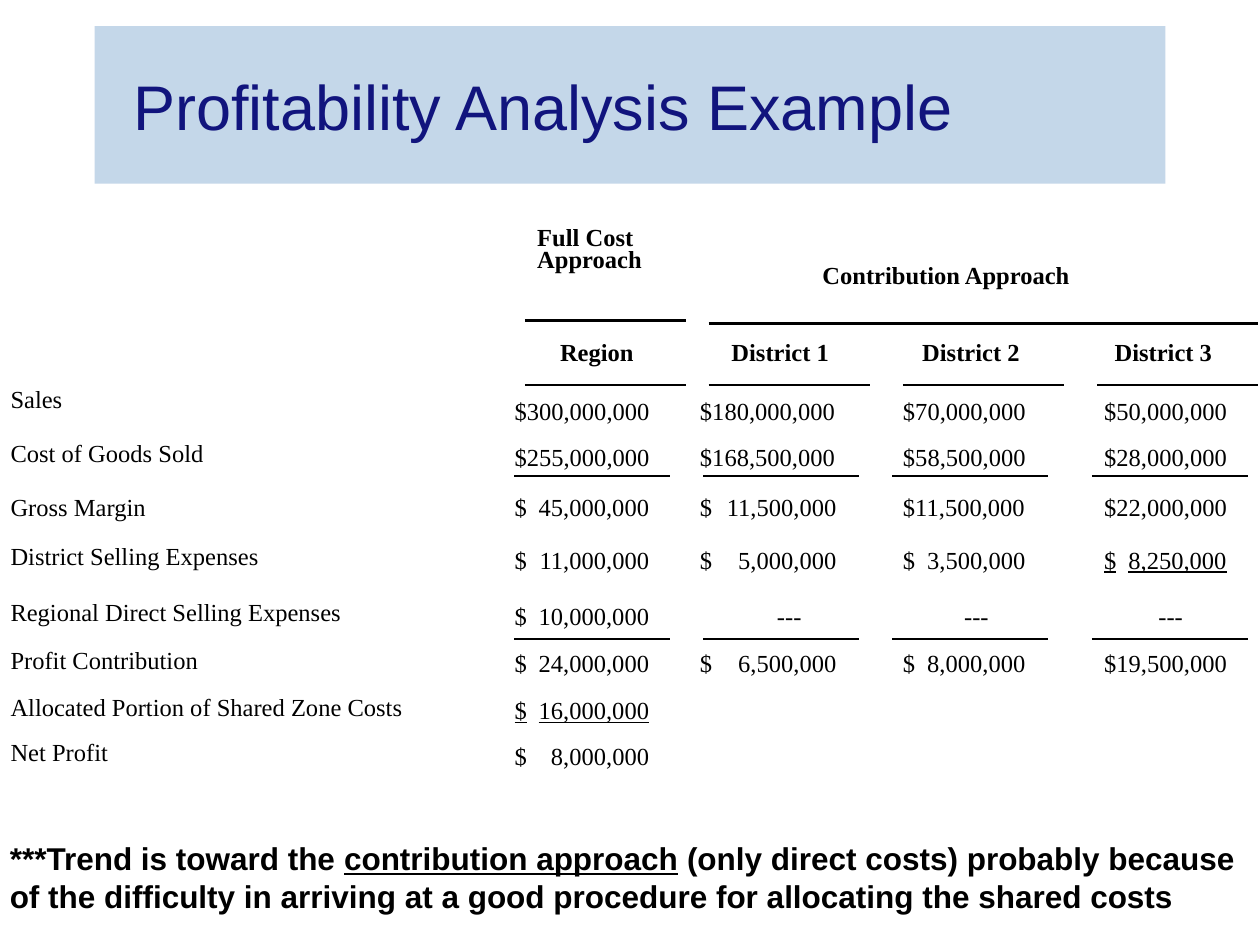
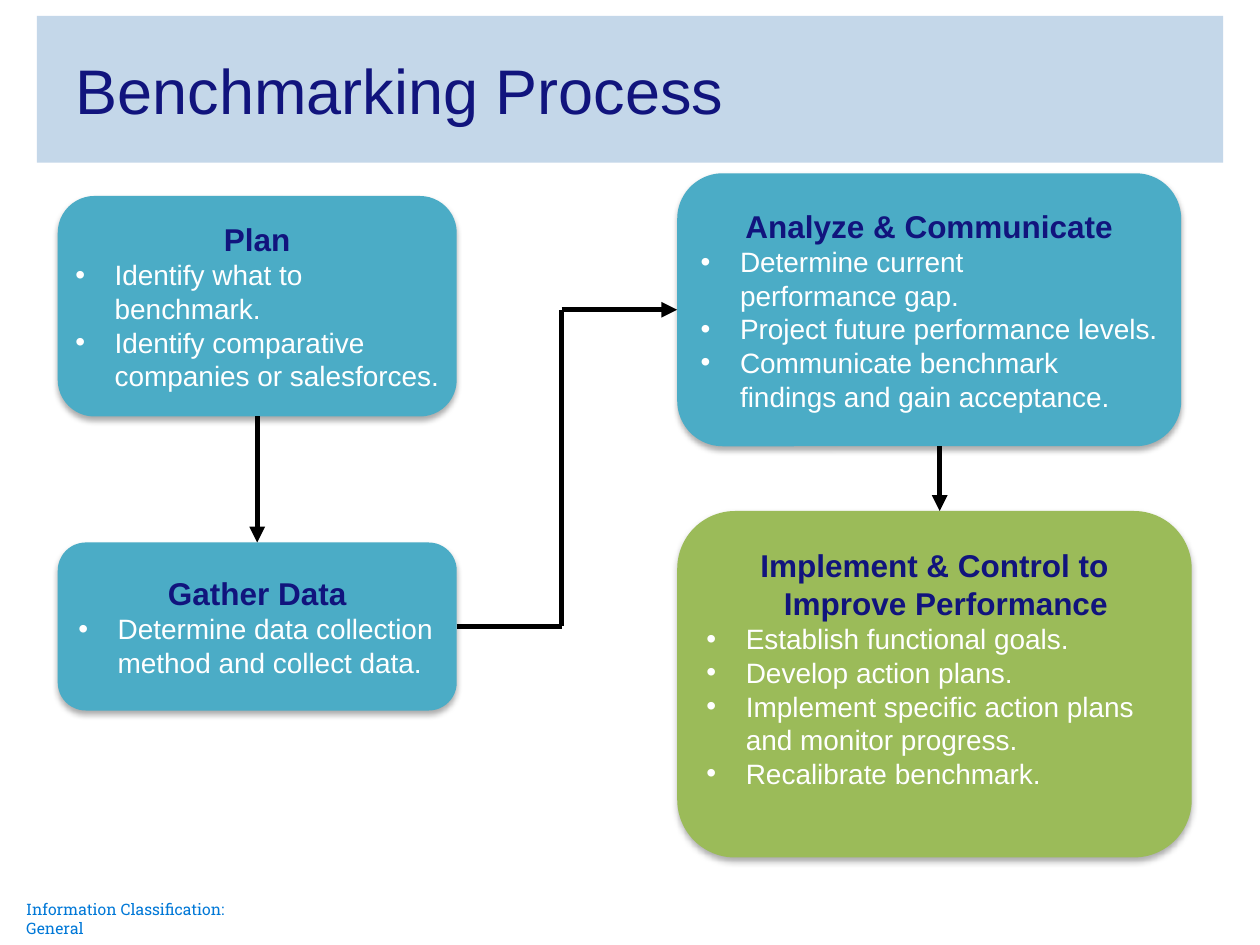
import pptx
import pptx.util
import pptx.dml.color
import pptx.enum.shapes
import pptx.enum.text
import pptx.oxml.ns
from lxml import etree

Pt = pptx.util.Pt
RGBColor = pptx.dml.color.RGBColor
qn = pptx.oxml.ns.qn
ALIGN = pptx.enum.text.PP_ALIGN
ANCHOR = pptx.enum.text.MSO_ANCHOR

NAVY = RGBColor(0x11, 0x14, 0x7D)
BAND_BLUE = RGBColor(0xC4, 0xD7, 0xE9)
TEAL = RGBColor(0x4B, 0xAC, 0xC6)
GREEN = RGBColor(0x9B, 0xBB, 0x59)
FOOTER_BLUE = RGBColor(0x00, 0x78, 0xD7)
BLACK = RGBColor(0, 0, 0)
WHITE = RGBColor(0xFF, 0xFF, 0xFF)

SANS, SERIF, SLAB = "Arial", "Times New Roman", "Roboto Slab"
NO_TABLE_STYLE = "{2D5ABB26-0587-4C30-8999-92F81FD0307C}"
TITLE_ONLY = 5

# Profitability figures: label, row height, drop of the figures, figures
FIGURE_ROWS = [
    ("Sales", 31, 7,
     ["$300,000,000", "$180,000,000", "$70,000,000", "$50,000,000"]),
    ("Cost of Goods Sold", 31, 2,
     ["$255,000,000", "$168,500,000", "$58,500,000", "$28,000,000"]),
    ("Gross Margin", 28, 0,
     ["$\t45,000,000", "$\t11,500,000", "$11,500,000", "$22,000,000"]),
    ("District Selling Expenses", 32, 2,
     ["$\t11,000,000", "$\t5,000,000", "$\t3,500,000", "$\t8,250,000"]),
    ("Regional Direct Selling Expenses", 27, 2,
     ["$\t10,000,000", "---", "---", "---"]),
    ("Profit Contribution", 27, 2,
     ["$\t24,000,000", "$\t6,500,000", "$\t8,000,000", "$19,500,000"]),
    ("Allocated Portion of Shared Zone Costs", 26, 2, ["$\t16,000,000"]),
    ("Net Profit", 20, 2, ["$\t8,000,000"]),
]
UNDERLINED = {"$\t16,000,000", "$\t8,250,000"}
COLUMN_HEADS = ["Region", "District 1", "District 2", "District 3"]
HEAD_INSETS = [26, 18, 11, 6]
DASH_INSETS = [0, 44, 35, 31]
FIGURE_WIDTHS = [77, 78, 70, 70]
COLUMN_WIDTHS = [288, 106, 116, 115, 89]
HEADER_HEIGHTS = [62, 28]


def write(paragraph, text, size=14, font=SERIF, color=BLACK, bold=False, underline=False):
    """Add text to a paragraph; a newline becomes a line break."""
    for index, line in enumerate(text.split("\n")):
        if index:
            paragraph.add_line_break()
        run = paragraph.add_run()
        run.text = line
        run.font.size = Pt(size)
        run.font.name = font
        run.font.bold = bold
        run.font.underline = underline
        run.font.color.rgb = color


def set_indent(paragraph, left, first):
    properties = paragraph._p.get_or_add_pPr()
    properties.set("marL", str(Pt(left)))
    properties.set("indent", str(Pt(first)))
    return properties


def add_bullet(paragraph):
    properties = set_indent(paragraph, 22.5, -22.5)
    etree.SubElement(properties, qn("a:buFont"), typeface=SANS)
    etree.SubElement(properties, qn("a:buChar"), char="•")


def add_right_tab(paragraph, position):
    tabs = etree.SubElement(paragraph._p.get_or_add_pPr(), qn("a:tabLst"))
    etree.SubElement(tabs, qn("a:tab"), pos=str(Pt(position)), algn="r")


def add_line(slide, start, end, width, arrow=False):
    line = slide.shapes.add_connector(
        pptx.enum.shapes.MSO_CONNECTOR.STRAIGHT, *[Pt(value) for value in start + end])
    line.line.color.rgb = BLACK
    line.line.width = Pt(width)
    if arrow:
        etree.SubElement(line.line._get_or_add_ln(), qn("a:tailEnd"), type="triangle")
    etree.SubElement(line._element.spPr, qn("a:effectLst"))
    return line


def add_text_box(slide, box, insets, wrap):
    frame = slide.shapes.add_textbox(*[Pt(value) for value in box]).text_frame
    frame.margin_left = frame.margin_right = Pt(insets[0])
    frame.margin_top = frame.margin_bottom = Pt(insets[1])
    frame.word_wrap = wrap
    return frame


def add_titled_slide(presentation, text, box):
    """Slide with its title on a pale band."""
    slide = presentation.slides.add_slide(presentation.slide_layouts[TITLE_ONLY])
    title = slide.shapes.title
    title.left, title.top, title.width, title.height = [Pt(value) for value in box]
    title.fill.solid()
    title.fill.fore_color.rgb = BAND_BLUE
    title.text_frame.vertical_anchor = ANCHOR.MIDDLE
    paragraph = title.text_frame.paragraphs[0]
    paragraph.alignment = ALIGN.LEFT
    set_indent(paragraph, 15, 0)
    write(paragraph, text, size=36, font=SANS, color=NAVY)
    return slide


def fill_cell(cell, text, left=0, top=0, **text_format):
    cell.margin_left, cell.margin_top = Pt(left), Pt(top)
    paragraph = cell.text_frame.paragraphs[0]
    write(paragraph, text, **text_format)
    return paragraph


def add_profit_table(slide, left, top):
    heights = HEADER_HEIGHTS + [row[1] for row in FIGURE_ROWS]
    table = slide.shapes.add_table(
        len(heights), len(COLUMN_WIDTHS), Pt(left), Pt(top),
        Pt(sum(COLUMN_WIDTHS)), Pt(sum(heights))).table
    table.first_row = table.horz_banding = False
    table._tbl.tblPr.find(qn("a:tableStyleId")).text = NO_TABLE_STYLE
    for column, width in zip(table.columns, COLUMN_WIDTHS):
        column.width = Pt(width)
    for row, height in zip(table.rows, heights):
        row.height = Pt(height)
    for cell in table.iter_cells():
        cell.fill.background()
        cell.margin_left = cell.margin_right = cell.margin_top = cell.margin_bottom = 0

    # Headings
    table.cell(0, 2).merge(table.cell(0, 4))
    full_cost = fill_cell(table.cell(0, 1), "Full Cost\nApproach", left=13, bold=True)
    full_cost.line_spacing = 0.8
    fill_cell(table.cell(0, 2), "Contribution Approach", left=70, top=19, bold=True)
    for column, (head, inset) in enumerate(zip(COLUMN_HEADS, HEAD_INSETS)):
        fill_cell(table.cell(1, column + 1), head, left=inset, top=1, bold=True)

    # Figures
    for row, (label, _, drop, figures) in enumerate(FIGURE_ROWS, len(HEADER_HEIGHTS)):
        fill_cell(table.cell(row, 0), label)
        for column, figure in enumerate(figures):
            inset = DASH_INSETS[column] if figure == "---" else 0
            paragraph = fill_cell(table.cell(row, column + 1), figure, left=inset,
                                  top=drop, underline=figure in UNDERLINED)
            if "\t" in figure:
                add_right_tab(paragraph, FIGURE_WIDTHS[column])

    # Rules under the headings and above the subtotals
    head_starts, subtotal_starts = [294, 399, 510, 621], [288, 396, 504, 618]
    rules = [(294, 92, 52, 1.5), (399, 314, 54, 1.5)]
    rules += [(start, 92, 89, 1.5) for start in head_starts]
    rules += [(start, 89, y, 1) for y in (141, 234) for start in subtotal_starts]
    for start, length, y, width in rules:
        add_line(slide, (left + start, top + y), (left + start + length, top + y), width)


def add_trend_note(slide, box):
    frame = add_text_box(slide, box, (5.6, 3.6), wrap=False)
    first = frame.paragraphs[0]
    note = {"size": 18, "font": SANS, "bold": True}
    write(first, "***Trend is toward the ", **note)
    write(first, "contribution approach", underline=True, **note)
    write(first, " (only direct costs) probably because", **note)
    write(frame.add_paragraph(), "of the difficulty in arriving at a good procedure "
          "for allocating the shared costs", **note)


def add_step(slide, box, heading, bullets, color, hanging=0, bottom_inset=3.6):
    """Rounded step box with a heading and a bulleted list."""
    step = slide.shapes.add_shape(pptx.enum.shapes.MSO_SHAPE.ROUNDED_RECTANGLE,
                                  *[Pt(value) for value in box])
    step.fill.solid()
    step.fill.fore_color.rgb = color
    step.line.fill.background()
    step.shadow.inherit = False
    effects = step._element.spPr.find(qn("a:effectLst"))
    shadow = etree.SubElement(effects, qn("a:outerShdw"), blurRad=str(Pt(3.5)),
                              dist=str(Pt(2.2)), dir="5400000", rotWithShape="0")
    shade = etree.SubElement(shadow, qn("a:srgbClr"), val=str(BLACK))
    etree.SubElement(shade, qn("a:alpha"), val="32000")

    frame = step.text_frame
    frame.word_wrap = False
    frame.vertical_anchor = ANCHOR.MIDDLE
    frame.margin_bottom = Pt(bottom_inset)
    title = frame.paragraphs[0]
    title.alignment = ALIGN.CENTER
    set_indent(title, hanging, -hanging)
    write(title, heading, size=18, font=SANS, color=NAVY, bold=True)
    for bullet in bullets:
        paragraph = frame.add_paragraph()
        paragraph.alignment = ALIGN.LEFT
        add_bullet(paragraph)
        write(paragraph, bullet, size=16, font=SANS, color=WHITE)
    return step


def add_process(slide, left, top):
    # Steps
    plan = add_step(slide, (left, top + 13, 228, 126), "Plan", [
        "Identify what to\nbenchmark.",
        "Identify comparative\ncompanies or salesforces."], TEAL)
    gather = add_step(slide, (left, top + 211, 228, 96), "Gather Data", [
        "Determine data collection\nmethod and collect data."], TEAL)
    analyze = add_step(slide, (left + 354, top, 288, 156), "Analyze & Communicate", [
        "Determine current\nperformance gap.",
        "Project future performance levels.",
        "Communicate benchmark\nfindings and gain acceptance."], TEAL)
    add_step(slide, (left + 354, top + 193, 294, 198),
             "Implement & Control to\nImprove Performance", [
                 "Establish functional goals.",
                 "Develop action plans.",
                 "Implement specific action plans\nand monitor progress.",
                 "Recalibrate benchmark."], GREEN, hanging=13, bottom_inset=22)

    # Arrows
    down = add_line(slide, (left + 114, top + 139), (left + 114, top + 211), 3, arrow=True)
    down.begin_connect(plan, 2)
    down.end_connect(gather, 0)
    turn_x, low_y, high_y = left + 288, top + 259, top + 78
    out = add_line(slide, (left + 228, low_y), (turn_x, low_y), 3)
    out.begin_connect(gather, 3)
    add_line(slide, (turn_x, high_y), (turn_x, low_y), 3)
    across = add_line(slide, (turn_x, high_y), (left + 354, high_y), 3, arrow=True)
    across.end_connect(analyze, 1)
    add_line(slide, (left + 504, top + 156), (left + 504, top + 193), 3, arrow=True)


def add_footer(slide, box):
    frame = add_text_box(slide, box, (0, 0), wrap=True)
    write(frame.paragraphs[0], "Information Classification: General",
          size=9, font=SLAB, color=FOOTER_BLUE)


def main():
    presentation = pptx.Presentation()
    presentation.slide_width, presentation.slide_height = Pt(720), Pt(540)

    profit_slide = add_titled_slide(
        presentation, "Profitability Analysis Example", (54, 15, 612, 90))
    add_profit_table(profit_slide, 6, 131)
    add_trend_note(profit_slide, (0, 476, 720, 51))

    process_slide = add_titled_slide(
        presentation, "Benchmarking Process", (21, 9, 678, 84))
    add_process(process_slide, 33, 99)
    add_footer(process_slide, (15, 514, 146, 22))

    presentation.save("out.pptx")


if __name__ == "__main__":
    main()
